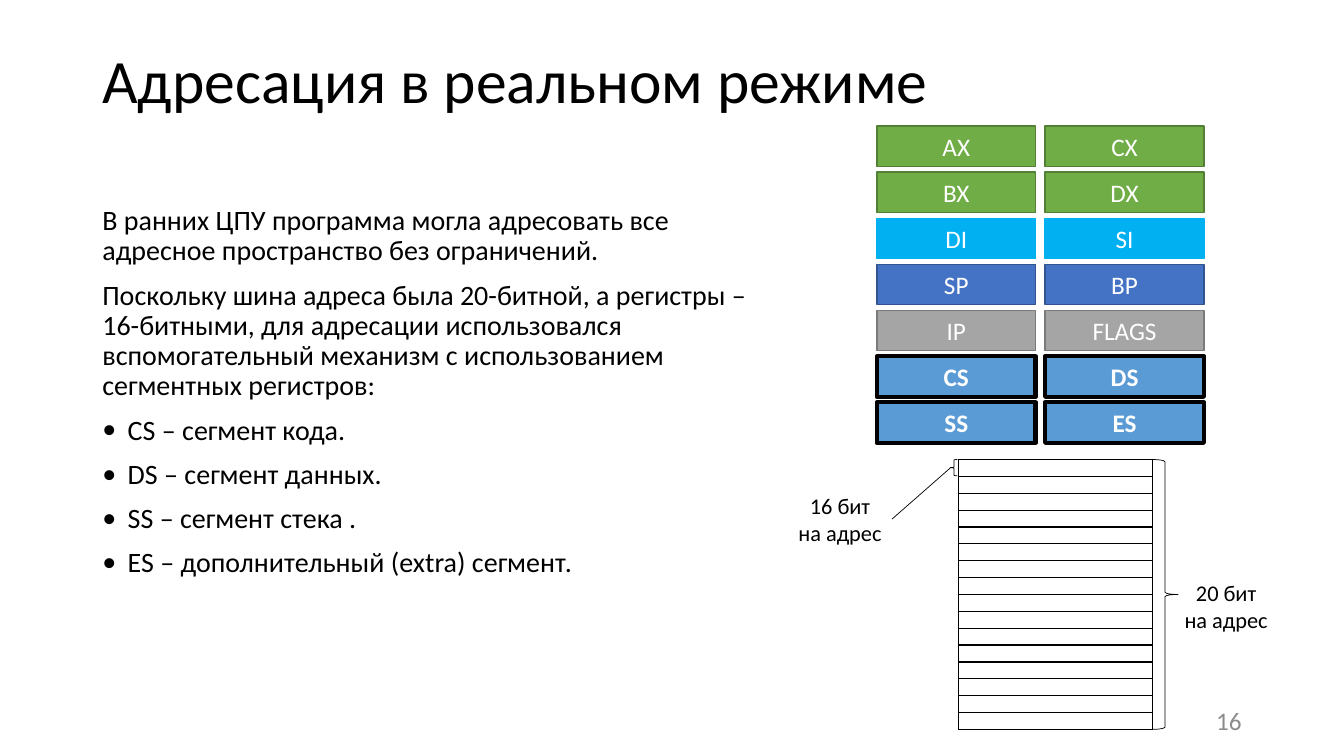
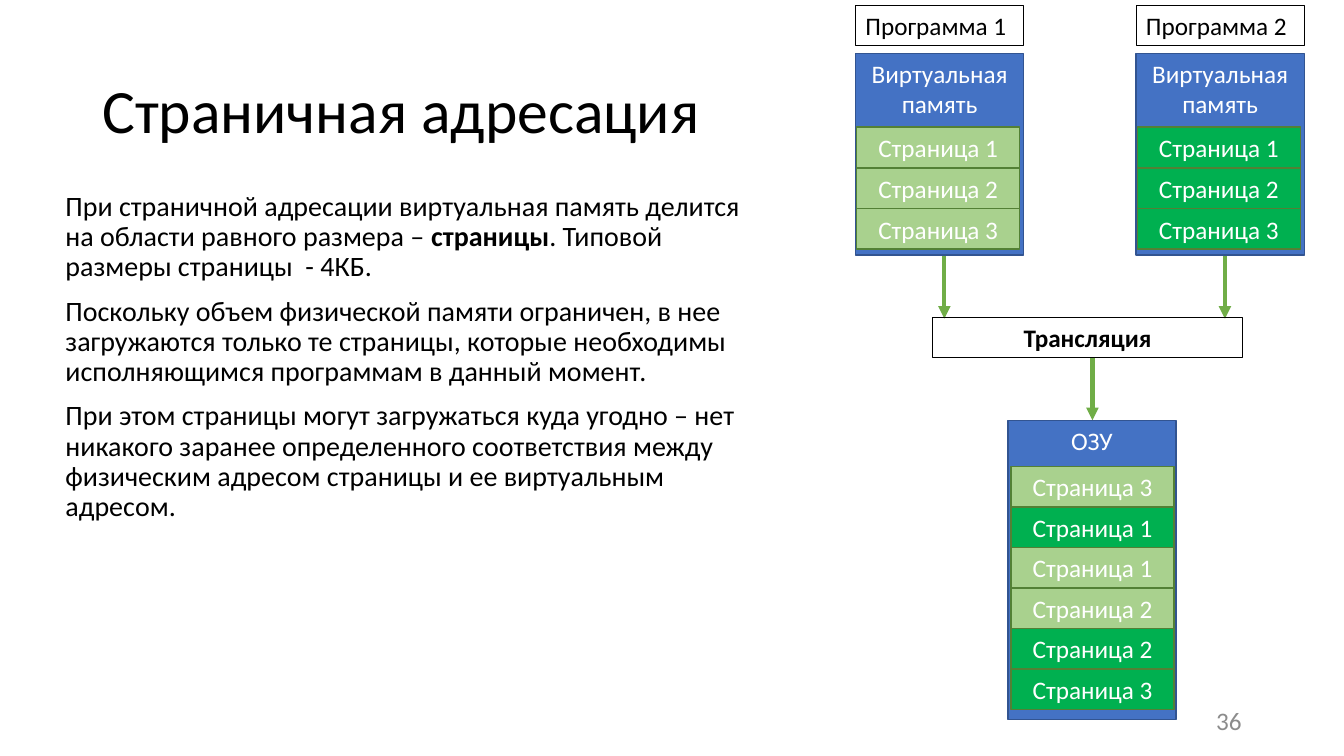
from lxml.etree import SubElement
from pptx import Presentation
from pptx.dml.color import RGBColor
from pptx.enum.shapes import MSO_CONNECTOR, MSO_SHAPE
from pptx.enum.text import MSO_ANCHOR, PP_ALIGN
from pptx.oxml.ns import qn
from pptx.util import Cm, Pt

FONT = "Calibri"
BLACK, WHITE, GREY = "000000", "FFFFFF", "8C8C8C"
GREEN, DARK_GREEN = "70AD47", "538035"
BLUE, DARK_BLUE = "4472C4", "325491"
PAGE_FILLS = {1: "A9D18E", 2: "00B050"}

REAL_MODE = {
    "title": "Адресация в реальном режиме",
    "title_height": 2.16,
    "number": "16",
    "body_box": (2.33, 5.08, 17.07, 12.09),
    "body": [
        "В ранних ЦПУ программа могла адресовать все адресное пространство без ограничений.",
        "Поскольку шина адреса была 20-битной, а регистры – 16-битными, для адресации "
        "использовался вспомогательный механизм с использованием сегментных регистров:",
        "• CS – сегмент кода.",
        "• DS – сегмент данных.",
        "• SS – сегмент стека .",
        "• ES – дополнительный (extra) сегмент.",
    ],
}
REGISTER_STYLES = {
    "general": dict(fill=GREEN, line=DARK_GREEN),
    "index": dict(fill="00B0F0", line="00B0F0"),
    "pointer": dict(fill=BLUE, line=DARK_BLUE),
    "control": dict(fill="A5A5A5", line="7A7A7A"),
    "segment": dict(fill="5B9BD5", line=BLACK, weight=3, bold=True),
}
REGISTERS = [
    ("general", "AX", "CX"),
    ("general", "BX", "DX"),
    ("index", "DI", "SI"),
    ("pointer", "SP", "BP"),
    ("control", "IP", "FLAGS"),
    ("segment", "CS", "DS"),
    ("segment", "SS", "ES"),
]
MEMORY_ROWS = 16
MEMORY_BOX = (24.16, 11.58, 4.88, 6.8)
BRACES = [
    (MSO_SHAPE.LEFT_BRACE, (23.95, 11.58, 0.18, 0.41)),
    (MSO_SHAPE.RIGHT_BRACE, (29.03, 11.58, 0.66, 6.8)),
]
ADDRESS_LABELS = [
    (["16 бит", "на адрес"], (19.86, 12.27, 2.62, 1.63)),
    (["20 бит", "на адрес"], (29.59, 14.48, 2.62, 1.63)),
]

PAGING = {
    "title": "Страничная адресация",
    "title_height": 3.68,
    "number": "36",
    "body_box": (1.4, 4.72, 18.06, 12.09),
    "body": [
        [
            ("При страничной адресации виртуальная память делится на области равного размера – ", False),
            ("страницы", True),
            (". Типовой размеры страницы  - 4КБ.", False),
        ],
        "Поскольку объем физической памяти ограничен, в нее загружаются только те страницы, "
        "которые необходимы исполняющимся программам в данный момент.",
        "При этом страницы могут загружаться куда угодно – нет никакого заранее определенного "
        "соответствия между физическим адресом страницы и ее виртуальным адресом.",
    ],
}
PROGRAM_LEFTS = {1: 21.56, 2: 28.63}
PROGRAM_PAGES = [1, 2, 3]
RAM_PAGES = [(1, 3), (2, 1), (1, 1), (1, 2), (2, 2), (2, 3)]
MEMORY_WIDTH = 4.24


def color(value):
    return RGBColor.from_string(value)


def lengths(values):
    return [Cm(value) for value in values]


def write(frame, text, size=18, ink=BLACK, bold=False, align=PP_ALIGN.LEFT,
          anchor=MSO_ANCHOR.MIDDLE, wrap=True, spacing=None, before=0):
    frame.word_wrap = wrap
    frame.vertical_anchor = anchor
    for index, content in enumerate([text] if isinstance(text, str) else text):
        paragraph = frame.paragraphs[0] if index == 0 else frame.add_paragraph()
        paragraph.alignment = align
        if spacing:
            paragraph.line_spacing = spacing
        if index and before:
            paragraph.space_before = Pt(before)
        runs = [(content, bold)] if isinstance(content, str) else content
        if runs[0][0].startswith("• "):
            runs = [(runs[0][0][2:], bold)]
            properties = paragraph._p.get_or_add_pPr()
            properties.set("marL", str(Cm(0.64)))
            properties.set("indent", str(-Cm(0.64)))
            SubElement(properties, qn("a:buFont")).set("typeface", FONT)
            SubElement(properties, qn("a:buChar")).set("char", "•")
        for words, strong in runs:
            run = paragraph.add_run()
            run.text = words
            run.font.name = FONT
            run.font.size = Pt(size)
            run.font.bold = strong
            run.font.color.rgb = color(ink)


def add_text(slide, box, text, **text_format):
    write(slide.shapes.add_textbox(*lengths(box)).text_frame, text, **text_format)


def add_block(slide, box, text=None, kind=MSO_SHAPE.RECTANGLE, fill=None, line=BLACK,
              weight=1, ink=WHITE, align=PP_ALIGN.CENTER, **text_format):
    block = slide.shapes.add_shape(kind, *lengths(box))
    block.shadow.inherit = False
    if fill:
        block.fill.solid()
        block.fill.fore_color.rgb = color(fill)
    else:
        block.fill.background()
    block.line.color.rgb = color(line)
    block.line.width = Pt(weight)
    if text:
        write(block.text_frame, text, ink=ink, align=align, **text_format)


def add_line(slide, ends, ink=BLACK, weight=0.5, arrow=False):
    connector = slide.shapes.add_connector(MSO_CONNECTOR.STRAIGHT, *lengths(ends))
    connector.line.color.rgb = color(ink)
    connector.line.width = Pt(weight)
    properties = connector._element.spPr
    if arrow:
        SubElement(properties.find(qn("a:ln")), qn("a:tailEnd")).set("type", "triangle")
    SubElement(properties, qn("a:effectLst"))


def add_memory_table(slide):
    table = slide.shapes.add_table(MEMORY_ROWS, 1, *lengths(MEMORY_BOX)).table
    table.first_row = table.horz_banding = False
    for row in table.rows:
        row.height = Cm(MEMORY_BOX[3] / MEMORY_ROWS)
        cell = row.cells[0]
        cell.margin_top = cell.margin_bottom = 0
        cell.text_frame.paragraphs[0]._p.get_or_add_endParaRPr().set("sz", "500")
        properties = cell._tc.get_or_add_tcPr()
        for side in ("lnL", "lnR", "lnT", "lnB"):
            border = SubElement(properties, qn(f"a:{side}"), w=str(Pt(1)))
            border_fill = SubElement(border, qn("a:solidFill"))
            SubElement(border_fill, qn("a:srgbClr")).set("val", BLACK)
        cell.fill.background()


def add_page(slide, left, top, program, number):
    add_block(slide, (left, top, 4.11, 1.02), f"Страница {number}",
              fill=PAGE_FILLS[program], line=DARK_GREEN)


def add_memory(slide, left, top, height, name):
    add_block(slide, (left, top, MEMORY_WIDTH, height), name, fill=BLUE,
              line=DARK_BLUE, anchor=MSO_ANCHOR.TOP)


def start_slide(deck, content):
    slide = deck.slides.add_slide(deck.slide_layouts[6])
    add_text(slide, (2.33, 1.02, 29.21, content["title_height"]), content["title"],
             size=44, spacing=0.9)
    add_text(slide, (23.92, 17.65, 7.62, 1.02), content["number"], ink=GREY,
             align=PP_ALIGN.RIGHT)
    add_text(slide, content["body_box"], content["body"], size=20,
             anchor=MSO_ANCHOR.TOP, spacing=0.9, before=10)
    return slide


def build_real_mode(deck):
    slide = start_slide(deck, REAL_MODE)
    for row, (group, *names) in enumerate(REGISTERS):
        for column, name in enumerate(names):
            box = (22.1 + 4.24 * column, 3.18 + 1.16 * row, 4, 1.02)
            add_block(slide, box, name, **REGISTER_STYLES[group])
    for kind, box in BRACES:
        add_block(slide, box, kind=kind, weight=0.5)
    for label, box in ADDRESS_LABELS:
        add_text(slide, box, label, size=16, align=PP_ALIGN.CENTER, wrap=False,
                 anchor=MSO_ANCHOR.TOP)
    add_line(slide, (23.95, 11.79, 22.48, 13.08))
    add_memory_table(slide)


def build_paging(deck):
    slide = start_slide(deck, PAGING)
    for program, left in PROGRAM_LEFTS.items():
        add_block(slide, (left, 0.13, MEMORY_WIDTH, 1.02), f"Программа {program}",
                  weight=0.75, ink=BLACK, align=PP_ALIGN.LEFT)
        add_memory(slide, left, 1.35, 5.08, "Виртуальная память")
        for row, number in enumerate(PROGRAM_PAGES):
            add_page(slide, left + 0.03, 3.2 + 1.03 * row, program, number)
        add_line(slide, (left + 2.24, 6.45, left + 2.24, 8.03), GREEN, 3, arrow=True)
    add_block(slide, (23.5, 8, 7.82, 1.02), "Трансляция", weight=0.75, ink=BLACK, bold=True)
    add_line(slide, (27.53, 9.02, 27.53, 10.59), GREEN, 3, arrow=True)
    add_memory(slide, 25.4, 10.59, 7.54, "ОЗУ")
    for row, (program, number) in enumerate(RAM_PAGES):
        add_page(slide, 25.48, 11.76 + 1.02 * row, program, number)


def main():
    deck = Presentation()
    deck.slide_width, deck.slide_height = Cm(33.87), Cm(19.05)
    build_real_mode(deck)
    build_paging(deck)
    deck.save("out.pptx")


if __name__ == "__main__":
    main()
